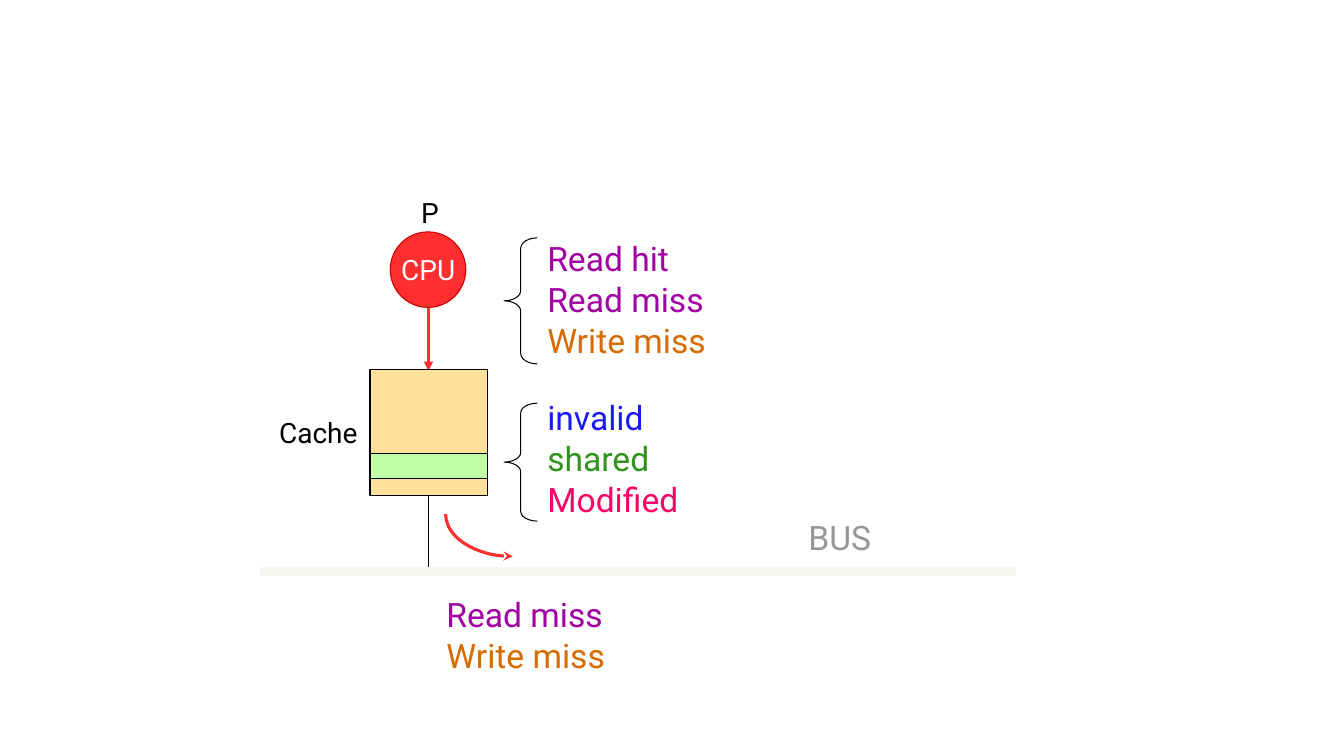
"""Build a slide on cache coherence events and states of one processor on a bus."""
from lxml.etree import SubElement
from pptx import Presentation
from pptx.dml.color import RGBColor
from pptx.enum.shapes import MSO_CONNECTOR, MSO_SHAPE
from pptx.oxml.ns import qn
from pptx.util import Inches, Pt

BLACK = RGBColor(0x00, 0x00, 0x00)
WHITE = RGBColor(0xFF, 0xFF, 0xFF)
RED = RGBColor(0xFF, 0x2F, 0x2F)
DARK_RED = RGBColor(0xCC, 0x00, 0x00)
SAND = RGBColor(0xFD, 0xE1, 0x9B)
LIGHT_GREEN = RGBColor(0xC1, 0xFE, 0xA6)
BUS_LINE = RGBColor(0xF7, 0xF6, 0xF3)
GRAY = RGBColor(0x96, 0x96, 0x96)
PURPLE = RGBColor(0xA2, 0x00, 0xA2)
ORANGE = RGBColor(0xD6, 0x6B, 0x00)
BLUE = RGBColor(0x19, 0x19, 0xF9)
GREEN = RGBColor(0x30, 0x94, 0x1C)
PINK = RGBColor(0xFF, 0x00, 0x66)

deck = Presentation()
deck.slide_width, deck.slide_height = Inches(13.33), Inches(7.5)
page = deck.slides.add_slide(deck.slide_layouts[6])


def add_line(start, end, color, width):
    line = page.shapes.add_connector(MSO_CONNECTOR.STRAIGHT, *map(Inches, start + end))
    line.line.color.rgb = color
    line.line.width = Pt(width)
    SubElement(line._element.spPr, qn("a:effectLst"))
    return line


def add_shape(kind, frame, fill, color, width=0.75):
    shape = page.shapes.add_shape(kind, *map(Inches, frame))
    shape.shadow.inherit = False
    if fill is None:
        shape.fill.background()
    else:
        shape.fill.solid()
        shape.fill.fore_color.rgb = fill
    shape.line.color.rgb = color
    shape.line.width = Pt(width)
    return shape


request = add_line((4.25, 3), (4.25, 3.68), RED, 2.25)
SubElement(request.line._get_or_add_ln(), qn("a:tailEnd"), type="triangle")

add_shape(MSO_SHAPE.OVAL, (3.87, 2.3, 0.75, 0.75), RED, DARK_RED)
add_shape(MSO_SHAPE.RECTANGLE, (3.67, 3.67, 1.17, 1.25), SAND, BLACK)
add_shape(MSO_SHAPE.RECTANGLE, (3.67, 4.5, 1.17, 0.25), LIGHT_GREEN, BLACK)
add_line((4.25, 4.92), (4.25, 5.67), BLACK, 0.75)
add_line((2.58, 5.67), (10.08, 5.67), BUS_LINE, 6)

for top, height, curl in [(2.36, 1.25, 0.31), (4, 1.17, 0.29)]:
    brace = add_shape(MSO_SHAPE.LEFT_BRACE, (5, top, 0.33, height), None, BLACK)
    brace.adjustments[0] = curl

broadcast = add_shape(MSO_SHAPE.ARC, (4.42, 4.68, 1.33, 0.84), None, RED, 2.25)
broadcast.adjustments[0], broadcast.adjustments[1] = 54, 108
SubElement(broadcast.line._get_or_add_ln(), qn("a:headEnd"), type="stealth")

texts = [
    ((3.88, 2.46, 0.83, 0.43), 20, [("CPU", WHITE)]),
    ((2.67, 4.07, 1.17, 0.43), 20, [("Cache", BLACK)]),
    ((4.08, 1.89, 0.5, 0.43), 20, [("P", BLACK)]),
    ((7.92, 5.08, 1.5, 0.5), 24, [("BUS", GRAY)]),
    ((5.33, 2.45, 2.33, 1.24), 24,
     [("Read hit", PURPLE), ("Read miss", PURPLE), ("Write miss", ORANGE)]),
    ((5.33, 4.03, 2.33, 1.24), 24,
     [("invalid", BLUE), ("shared", GREEN), ("Modified", PINK)]),
    ((4.33, 5.98, 4.33, 0.83), 24,
     [("Read miss", PURPLE), ("Write miss", ORANGE)]),
]
for frame, size, entries in texts:
    box = page.shapes.add_textbox(*map(Inches, frame)).text_frame
    box.word_wrap = True
    for index, (words, color) in enumerate(entries):
        para = box.add_paragraph() if index else box.paragraphs[0]
        para.text = words
        para.font.name = "Roboto"
        para.font.size = Pt(size)
        para.font.color.rgb = color
        if len(entries) > 1:
            para.line_spacing = 0.6
        if index:
            para.space_before = Pt(size / 2)

deck.save("out.pptx")
